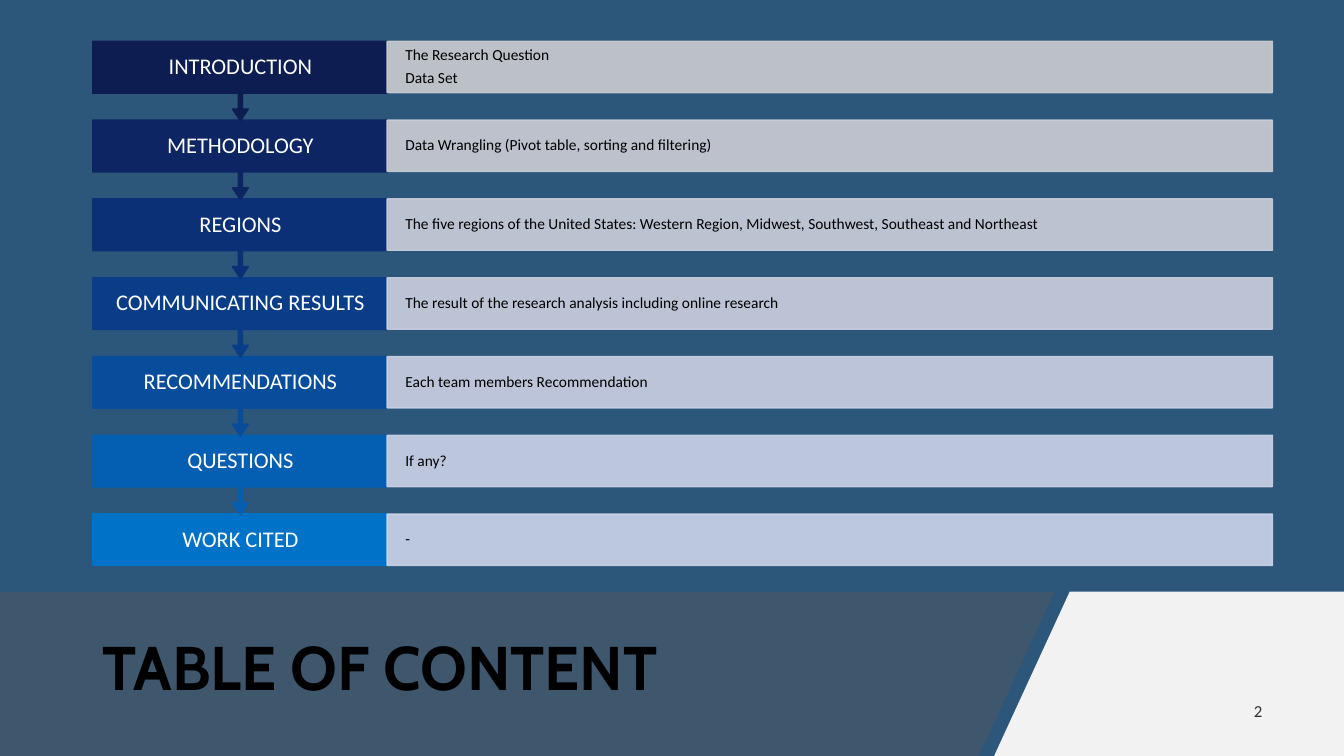
from lxml import etree
from pptx import Presentation, util as u
from pptx.dml.color import RGBColor
from pptx.enum import shapes, text
from pptx.oxml.ns import qn

# Content: label, label colour, bar colour, details
TITLE = "TABLE OF CONTENT"
PAGE_NUMBER = "2"
SECTIONS = [
    ("INTRODUCTION", "0D1D51", "CCCDD0", ["The Research Question", "Data Set"]),
    ("METHODOLOGY", "0D2663", "CCCDD5",
     ["Data Wrangling (Pivot table, sorting and filtering)"]),
    ("REGIONS", "0C3075", "CBCEDA",
     ["The five regions of the United States: Western Region, Midwest, "
      "Southwest, Southeast and Northeast"]),
    ("COMMUNICATING RESULTS", "0A3D88", "CBCFDF",
     ["The result of the research analysis including online research"]),
    ("RECOMMENDATIONS", "084C9C", "CBD1E3", ["Each team members Recommendation"]),
    ("QUESTIONS", "045EB1", "CCD3E7", ["If any?"]),
    ("WORK CITED", "0072C7", "CCD5EB", ["-"]),
]
BACKGROUND = "2C567A"
CORNER = ("F2F2F2", 100, [(1061, 587), (1333, 587), (1333, 750), (986, 750)])
BANNER = ("595959", 40, [(0, 587), (1046, 587), (971, 750), (0, 750)])

# Layout in px, 100 px to the inch
PX = 9144
SLIDE_WIDTH, SLIDE_HEIGHT = 1333, 750
LABEL_LEFT, LABEL_WIDTH = 92, 293
BAR_LEFT, BAR_WIDTH = 384, 878
FIRST_TOP, LAST_TOP = 41, 510
ROW_HEIGHT, CALLOUT_HEIGHT = 51, 79
CALLOUT_ADJUSTMENTS = (0.05, 0.1, 0.15, 0.65)

LABEL_FORMAT = {"size": u.Pt(16), "name": "Calibri", "bold": False}
DETAIL_FORMAT = {"size": u.Pt(11), "name": "Calibri", "bold": False}
TITLE_FORMAT = {"size": u.Pt(44), "name": "Cabin", "bold": True}
NUMBER_FORMAT = {"size": u.Pt(12), "name": "Calibri", "bold": False}


def px(*lengths):
    return [round(length * PX) for length in lengths]


def rgb(value):
    return RGBColor.from_string(value)


def set_opacity(shape, percent):
    for color in shape._element.iter(qn("a:srgbClr")):
        etree.SubElement(color, qn("a:alpha")).set("val", str(percent * 1000))


def paint(shape, color, opacity=100, outlined=False):
    shape.shadow.inherit = False
    shape.fill.solid()
    shape.fill.fore_color.rgb = rgb(color)
    if outlined:
        shape.line.color.rgb = rgb(color)
        shape.line.width = u.Pt(1)
    else:
        shape.line.fill.background()
    if opacity < 100:
        set_opacity(shape, opacity)


def write(shape, lines, font_format, color, align, inset_x, inset_y, spacing=0.9):
    frame = shape.text_frame
    frame.word_wrap = True
    frame.auto_size = text.MSO_AUTO_SIZE.NONE
    frame.vertical_anchor = text.MSO_ANCHOR.MIDDLE
    frame.margin_left = frame.margin_right = px(inset_x)[0]
    frame.margin_top = frame.margin_bottom = px(inset_y)[0]
    for index, line in enumerate(lines):
        paragraph = frame.add_paragraph() if index else frame.paragraphs[0]
        paragraph.alignment = align
        paragraph.line_spacing = spacing
        paragraph.space_before = u.Pt(0)
        paragraph.space_after = u.Pt(4)
        run = paragraph.add_run()
        run.text = line
        for attribute, value in font_format.items():
            setattr(run.font, attribute, value)
        run.font.color.rgb = rgb(color)


def add_panel(slide, color, opacity, points):
    builder = slide.shapes.build_freeform(*points[0], scale=PX)
    builder.add_line_segments(points[1:], close=True)
    paint(builder.convert_to_shape(), color, opacity)


def add_section(slide, top, section, is_last):
    label, label_color, bar_color, details = section
    # Label, with an arrow to the next one
    kind = (shapes.MSO_SHAPE.RECTANGLE if is_last
            else shapes.MSO_SHAPE.DOWN_ARROW_CALLOUT)
    height = ROW_HEIGHT if is_last else CALLOUT_HEIGHT
    box = slide.shapes.add_shape(kind, *px(LABEL_LEFT, top, LABEL_WIDTH, height))
    if not is_last:
        for index, value in enumerate(CALLOUT_ADJUSTMENTS):
            box.adjustments[index] = value
    paint(box, label_color, outlined=True)
    write(box, [label], LABEL_FORMAT, "FFFFFF", text.PP_ALIGN.CENTER, 21, 5)
    # Detail bar
    bar = slide.shapes.add_shape(
        shapes.MSO_SHAPE.RECTANGLE, *px(BAR_LEFT, top, BAR_WIDTH, ROW_HEIGHT))
    paint(bar, bar_color, opacity=90, outlined=True)
    write(bar, details, DETAIL_FORMAT, "000000", text.PP_ALIGN.LEFT, 18, 2)


def main():
    presentation = Presentation()
    presentation.slide_width, presentation.slide_height = px(SLIDE_WIDTH, SLIDE_HEIGHT)
    slide = presentation.slides.add_slide(presentation.slide_layouts[5])
    slide.background.fill.solid()
    slide.background.fill.fore_color.rgb = rgb(BACKGROUND)

    # Bottom panels
    for panel in (CORNER, BANNER):
        add_panel(slide, *panel)

    # Title, moved in front of the panels
    title = slide.shapes.title
    title.left, title.top, title.width, title.height = px(92, 605, 883, 120)
    slide.shapes._spTree.append(title._element)
    write(title, [TITLE], TITLE_FORMAT, "000000", text.PP_ALIGN.LEFT, 10, 5)

    # Slide number
    number = slide.shapes.add_textbox(*px(1115, 685, 147, 40))
    write(number, [PAGE_NUMBER], NUMBER_FORMAT, "000000", text.PP_ALIGN.RIGHT, 10, 5, 1)
    set_opacity(number, 80)

    # Sections from the bottom up, so each arrow overlaps the label below
    last = len(SECTIONS) - 1
    pitch = (LAST_TOP - FIRST_TOP) / last
    for index in range(last, -1, -1):
        add_section(slide, FIRST_TOP + index * pitch, SECTIONS[index], index == last)

    presentation.save("out.pptx")


if __name__ == "__main__":
    main()
